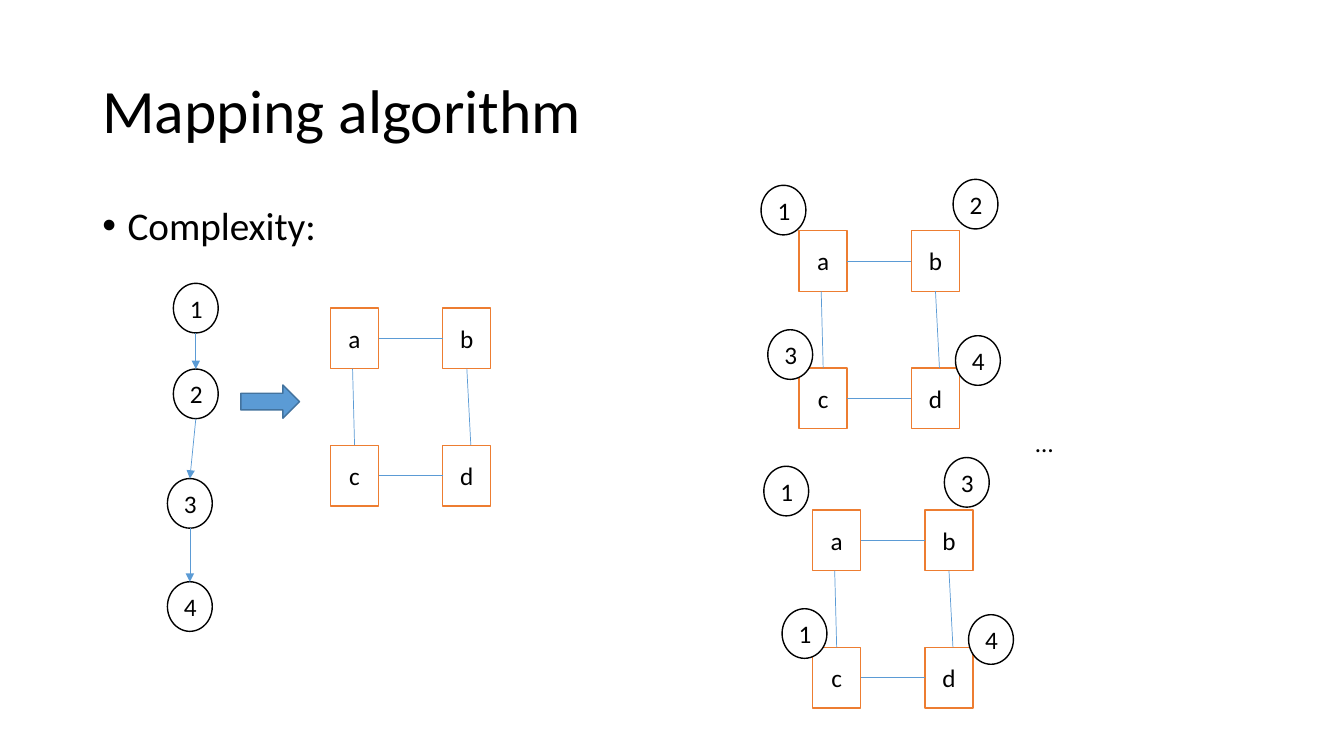
"""Build the mapping algorithm slide: a chain of nodes mapped onto square grids."""
import pptx
import pptx.dml.color
import pptx.enum.shapes
import pptx.enum.text
import pptx.oxml.ns
import pptx.oxml.xmlchemy
import pptx.util

Cm = pptx.util.Cm
Pt = pptx.util.Pt
RGBColor = pptx.dml.color.RGBColor
Kind = pptx.enum.shapes.MSO_SHAPE
Anchor = pptx.enum.text.MSO_ANCHOR
Align = pptx.enum.text.PP_ALIGN

BLACK = RGBColor(0x00, 0x00, 0x00)
WHITE = RGBColor(0xFF, 0xFF, 0xFF)
BLUE = RGBColor(0x5B, 0x9B, 0xD5)
NAVY = RGBColor(0x43, 0x73, 0x9E)
ORANGE = RGBColor(0xED, 0x7D, 0x31)

TITLE = ("Mapping algorithm", 2.33, 1.01, 29.21, 3.68)
BODY = ("Complexity:", 2.33, 5.07, 29.21, 12.09)
DOTS = ("…", 25.85, 10.65, 4.17, 1.03)
CHAIN = [("1", 4.37, 7.14), ("2", 4.37, 9.3), ("3", 4.22, 12.06), ("4", 4.22, 14.66)]
ARROW = (6.07, 9.7, 1.48, 0.84)
GRIDS = [
    (8.33, 7.76, []),
    (20.14, 5.81, [("1", 19.18, 4.67), ("2", 24.02, 4.52),
                   ("3", 19.35, 8.31), ("4", 24.08, 8.46)]),
    (20.48, 12.85, [("1", 19.25, 11.75), ("3", 23.8, 11.53),
                    ("1", 19.71, 15.34), ("4", 24.41, 15.49)]),
]
CELLS = "abcd"
BOX_W, BOX_H = 1.21, 1.53
STEP_X, STEP_Y = 2.83, 3.46
NODE_W, NODE_H = 1.13, 1.25
SKEW = 0.1


def element(tag, **attrs):
    item = pptx.oxml.xmlchemy.OxmlElement(tag)
    for key, value in attrs.items():
        item.set(key, value)
    return item


def style(para, size):
    para.font.size = Pt(size)
    para.font.name = "Calibri"
    para.font.color.rgb = BLACK


def label(slide, item, size, anchor=Anchor.TOP):
    text, *area = item
    frame = slide.shapes.add_textbox(*map(Cm, area)).text_frame
    frame.word_wrap = True
    frame.vertical_anchor = anchor
    frame.text = text
    para = frame.paragraphs[0]
    style(para, size)
    return para


def block(slide, kind, area, fill, edge, text=""):
    shape = slide.shapes.add_shape(kind, *map(Cm, area))
    shape.shadow.inherit = False
    shape.fill.solid()
    shape.fill.fore_color.rgb = fill
    shape.line.color.rgb = edge
    shape.line.width = Pt(1)
    if text:
        frame = shape.text_frame
        frame.text = text
        frame.vertical_anchor = Anchor.MIDDLE
        para = frame.paragraphs[0]
        para.alignment = Align.CENTER
        style(para, 18)
    return shape


def node(slide, text, x, y):
    return block(slide, Kind.OVAL, (x, y, NODE_W, NODE_H), WHITE, BLACK, text)


def link(slide, x1, y1, x2, y2, head=False):
    line = slide.shapes.add_connector(
        pptx.enum.shapes.MSO_CONNECTOR.STRAIGHT, *map(Cm, (x1, y1, x2, y2)))
    line.line.color.rgb = BLUE
    line.line.width = Pt(0.5)
    props = line._element.spPr
    if head:
        props.get_or_add_ln().append(element("a:tailEnd", type="triangle"))
    props.append(element("a:effectLst"))
    return line


def chain(slide):
    for item in CHAIN:
        node(slide, *item)
    mid = NODE_W / 2
    for (_, x1, y1), (_, x2, y2) in zip(CHAIN, CHAIN[1:]):
        link(slide, x1 + mid, y1 + NODE_H, x2 + mid, y2, head=True)


def grid(slide, left, top, nodes):
    boxes = []
    for i, text in enumerate(CELLS):
        row, col = divmod(i, 2)
        area = (left + col * STEP_X, top + row * STEP_Y, BOX_W, BOX_H)
        boxes.append(block(slide, Kind.RECTANGLE, area, WHITE, ORANGE, text))
    for row in range(2):
        y = top + row * STEP_Y + BOX_H / 2
        line = link(slide, left + BOX_W, y, left + STEP_X, y)
        line.begin_connect(boxes[2 * row], 3)
        line.end_connect(boxes[2 * row + 1], 1)
    upper, lower = top + BOX_H, top + STEP_Y
    mid = left + BOX_W / 2
    line = link(slide, mid - SKEW / 2, upper, mid, lower)
    line.end_connect(boxes[2], 0)
    mid += STEP_X
    line = link(slide, mid, upper, mid + SKEW, lower)
    line.begin_connect(boxes[1], 2)
    for item in nodes:
        node(slide, *item)


def main():
    deck = pptx.Presentation()
    deck.slide_width, deck.slide_height = Cm(33.87), Cm(19.05)
    slide = deck.slides.add_slide(deck.slide_layouts[6])
    label(slide, TITLE, 44, Anchor.MIDDLE).line_spacing = 0.9
    para = label(slide, BODY, 28)
    para.line_spacing = 0.9
    para.space_before = Pt(10)
    props = para._p.get_or_add_pPr()
    props.set("marL", str(int(Pt(18))))
    props.set("indent", str(-int(Pt(18))))
    spot = props.find(pptx.oxml.ns.qn("a:defRPr"))
    spot.addprevious(element("a:buFont", typeface="Arial"))
    spot.addprevious(element("a:buChar", char="•"))
    chain(slide)
    block(slide, Kind.RIGHT_ARROW, ARROW, BLUE, NAVY)
    for item in GRIDS:
        grid(slide, *item)
    label(slide, DOTS, 18)
    deck.save("out.pptx")


if __name__ == "__main__":
    main()
